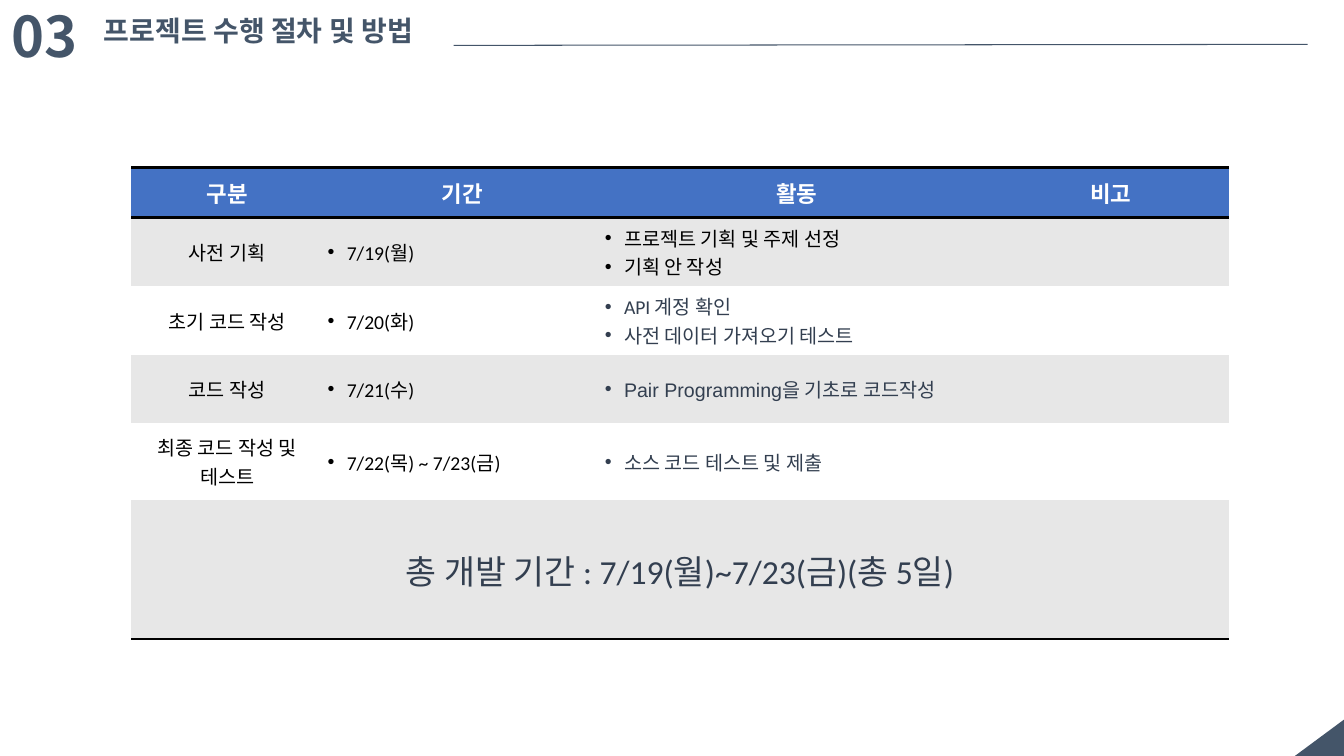
from lxml.etree import SubElement as Sub
from pptx import Presentation
from pptx.dml.color import RGBColor
from pptx.enum.shapes import MSO_CONNECTOR as CONN, MSO_SHAPE as SHAPE
from pptx.enum.text import MSO_ANCHOR as ANCHOR, PP_ALIGN as ALIGN
from pptx.oxml import parse_xml
from pptx.oxml.ns import nsdecls, qn
from pptx.util import Inches, Pt

WIDTH, HEIGHT = Inches(13.33), Inches(7.5)
NO_TABLE_STYLE = "{2D5ABB26-0587-4C30-8999-92F81FD0307C}"
KOREAN = "Noto Sans CJK KR"
SLATE, NAVY, BLACK, WHITE = "445569", "333F50", "000000", "FFFFFF"
BLUE, GREY = "4472C4", "E7E7E7"


def color(hex_code):
    return RGBColor.from_string(hex_code)


def x(share):
    """Length as a percentage of the slide width."""
    return round(WIDTH * share / 100)


def y(share):
    """Length as a percentage of the slide height."""
    return round(HEIGHT * share / 100)


def box(left, top, width, height):
    return x(left), y(top), x(width), y(height)


class Deck:
    def __init__(self):
        self.prs = Presentation()
        self.prs.slide_width, self.prs.slide_height = WIDTH, HEIGHT
        self.s = self.prs.slides.add_slide(self.prs.slide_layouts[6])
        self.style = {"name": "Calibri", "size": 14, "bold": False, "color": BLACK}

    def run(self, p, text, **changes):
        r = p.add_run()
        r.text = text
        fmt = {**self.style, **changes}
        r.font.color.rgb = color(fmt.pop("color"))
        fmt["size"] = Pt(fmt["size"])
        for key, value in fmt.items():
            setattr(r.font, key, value)
        Sub(r.font._element, qn("a:ea"), typeface=KOREAN)

    def text(self, at, text, wrap=True, **changes):
        tf = self.s.shapes.add_textbox(*box(*at)).text_frame
        tf.word_wrap = wrap
        self.run(tf.paragraphs[0], text, **changes)

    def corner(self, at, fill):
        sp = self.s.shapes.add_shape(SHAPE.RIGHT_TRIANGLE, *box(*at))
        sp.rotation = 270
        sp.shadow.inherit = False
        sp.fill.solid()
        sp.fill.fore_color.rgb = color(fill)
        sp.line.fill.background()

    def line(self, start, end, stroke, width):
        cx = self.s.shapes.add_connector(
            CONN.STRAIGHT, x(start[0]), y(start[1]), x(end[0]), y(end[1]))
        cx.line.color.rgb = color(stroke)
        cx.line.width = Pt(width)
        Sub(cx._element.spPr, qn("a:effectLst"))

    def table(self, left, top, cols, rows):
        shape = self.s.shapes.add_table(
            len(rows), len(cols), *box(left, top, sum(cols), sum(rows)))
        table = shape.table
        table._tbl.tblPr.find(qn("a:tableStyleId")).text = NO_TABLE_STYLE
        for flag in ("first_row", "horz_banding"):
            setattr(table, flag, False)
        for column, width in zip(table.columns, cols):
            column.width = x(width)
        for row, height in zip(table.rows, rows):
            row.height = y(height)
        return table

    def cell(self, cell, lines, fill, edges=(), bullets=False, **changes):
        cell.fill.solid()
        cell.fill.fore_color.rgb = color(fill)
        cell.vertical_anchor = ANCHOR.MIDDLE
        if bullets:
            for side, inset in {"left": 0.04, "right": 0, "top": 0, "bottom": 0}.items():
                setattr(cell, f"margin_{side}", Inches(inset))
        tf = cell.text_frame
        for i, text in enumerate(lines):
            p = tf.add_paragraph() if i else tf.paragraphs[0]
            if bullets:
                self.bullet(p)
            else:
                p.alignment = ALIGN.CENTER
            self.run(p, text, **changes)
        for i, edge in enumerate(edges):
            cell._tc.tcPr.insert(i, parse_xml(
                f'<a:ln{edge} {nsdecls("a")} w="{Pt(2)}"><a:solidFill>'
                f'<a:srgbClr val="{BLACK}"/></a:solidFill></a:ln{edge}>'))

    def bullet(self, p):
        pPr = p._p.get_or_add_pPr()
        pPr.set("marL", str(Inches(0.19)))
        pPr.set("indent", str(Inches(-0.19)))
        Sub(pPr, qn("a:buFont"), typeface="Arial")
        Sub(pPr, qn("a:buChar"), char="•")


def main():
    d = Deck()

    # Corner and heading
    d.corner((96.77, 94.27, 2.78, 6.67), SLATE)
    d.text((0.15, -0.4, 9.53, 10.27), "03",
           name=KOREAN, size=40, bold=True, color=SLATE)
    d.text((6.98, 1.07, 27.61, 5.87), "프로젝트 수행 절차 및 방법", wrap=False,
           name="Arial", size=20, bold=True, color=SLATE)
    d.line((33.76, 6), (97.3, 5.87), SLATE, 0.75)

    # Schedule header
    table = d.table(9.75, 22.13, cols=[14.33, 20.63, 29.18, 17.55],
                    rows=[6.67, 9.07, 9.07, 9.07, 10.13, 18.4])
    for col, title in enumerate(["구분", "기간", "활동", "비고"]):
        d.cell(table.cell(0, col), [title], BLUE, edges="TB",
               size=16, bold=True, color=WHITE)

    # Schedule phases: name, dates, activities, activity font
    phases = [
        ("사전 기획", "7/19(월)", ["프로젝트 기획 및 주제 선정", "기획 안 작성"],
         {}),
        ("초기 코드 작성", "7/20(화)", ["API 계정 확인", "사전 데이터 가져오기 테스트"],
         {"color": NAVY}),
        ("코드 작성", "7/21(수)", ["Pair Programming을 기초로 코드작성"],
         {"color": NAVY, "name": "Arial"}),
        ("최종 코드 작성 및 테스트", "7/22(목) ~ 7/23(금)", ["소스 코드 테스트 및 제출"],
         {"color": NAVY}),
    ]
    for row, (phase, dates, activities, font) in enumerate(phases, 1):
        fill = GREY if row % 2 else WHITE
        d.cell(table.cell(row, 0), [phase], fill)
        d.cell(table.cell(row, 1), [dates], fill, bullets=True)
        d.cell(table.cell(row, 2), activities, fill, bullets=True, **font)
        d.cell(table.cell(row, 3), [], fill)

    # Total period across the last row
    table.cell(5, 0).merge(table.cell(5, 3))
    total = ["총 개발 기간 : 7/19(월)~7/23(금)(총 5일)"]
    for col in range(4):
        d.cell(table.cell(5, col), [] if col else total, GREY, edges="B",
               size=24, color=NAVY)

    d.prs.save("out.pptx")


if __name__ == "__main__":
    main()
